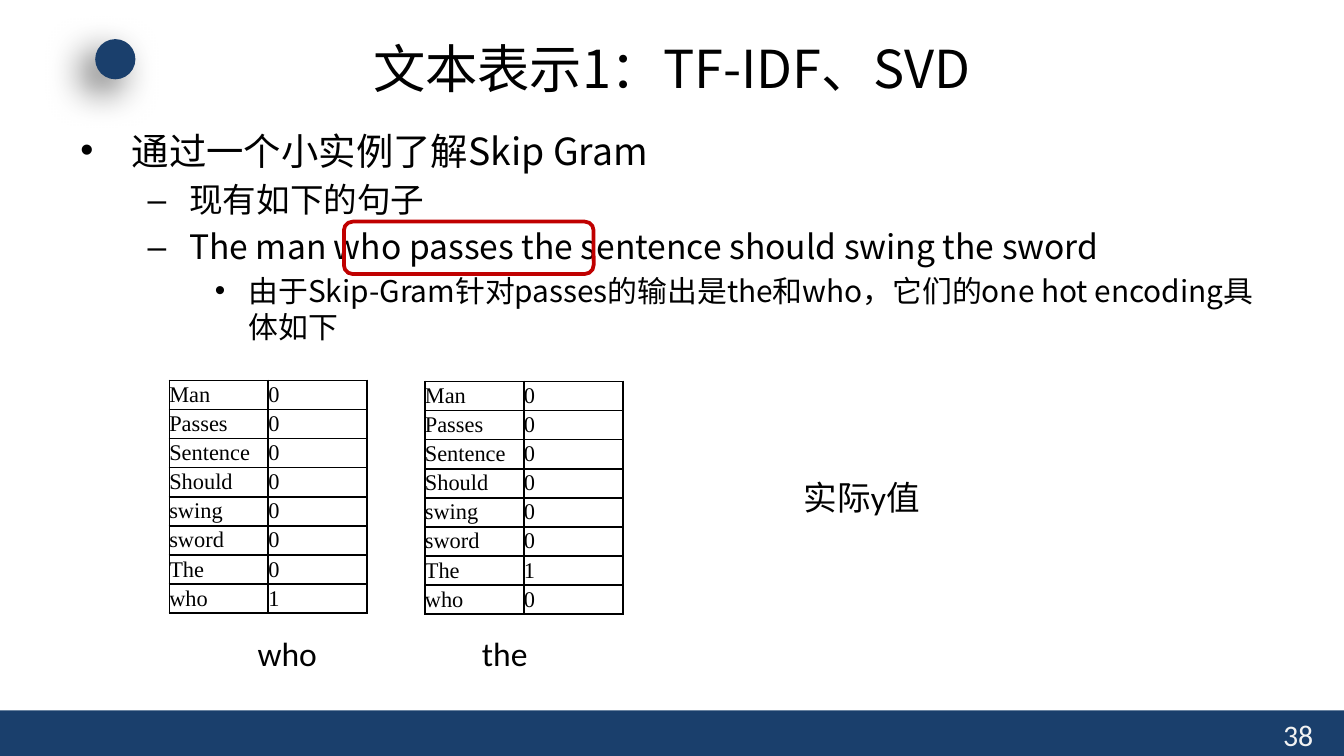
from lxml import etree
from pptx import Presentation
from pptx.dml.color import RGBColor
from pptx.enum.shapes import MSO_SHAPE
from pptx.enum.text import MSO_ANCHOR, PP_ALIGN
from pptx.oxml import parse_xml
from pptx.oxml.ns import nsdecls, qn
from pptx.util import Cm, Pt

NAVY = RGBColor(0x1A, 0x3F, 0x6C)
RED = RGBColor(0xC0, 0x00, 0x00)
BLACK = RGBColor(0x00, 0x00, 0x00)
PALE = RGBColor(0xF2, 0xF2, 0xF2)
HAN_FONT = "Noto Sans CJK SC"
LABEL_FONT = "Calibri"
TABLE_FONT = "Times New Roman"
RECTANGLE = MSO_SHAPE.RECTANGLE
OVAL = MSO_SHAPE.OVAL
ROUNDED = MSO_SHAPE.ROUNDED_RECTANGLE
MIDDLE = MSO_ANCHOR.MIDDLE
CENTER = PP_ALIGN.CENTER
JUSTIFY = PP_ALIGN.JUSTIFY

SLIDE_WIDTH, SLIDE_HEIGHT = 25.4, 14.29
VOCABULARY = ["Man", "Passes", "Sentence", "Should", "swing", "sword", "The", "who"]
OUTLINE = [
    (0, "通过一个小实例了解Skip Gram"),
    (1, "现有如下的句子"),
    (1, "The man who passes the sentence should swing the sword"),
    (2, "由于Skip-Gram针对passes的输出是the和who，它们的one hot encoding具体如下"),
]
LEVELS = [(20, "•", 0.97, 0.97), (18, "–", 2.06, 0.79), (16, "•", 3.18, 0.64)]


def format_paragraph(paragraph, size, font, color=BLACK):
    """Give every run of a paragraph its size, colour and fonts."""
    for run in paragraph.runs:
        run.font.size = Pt(size)
        run.font.name = font
        run.font.color.rgb = color
        east_asian = etree.SubElement(run._r.get_or_add_rPr(), qn("a:ea"))
        east_asian.set("typeface", HAN_FONT)


def add_text(slide, box, text, size, font=LABEL_FONT, color=BLACK):
    """Add a one-paragraph text box and return its text frame."""
    text_frame = slide.shapes.add_textbox(*map(Cm, box)).text_frame
    text_frame.word_wrap = True
    text_frame.text = text
    format_paragraph(text_frame.paragraphs[0], size, font, color)
    return text_frame


def add_plain_shape(slide, kind, box):
    """Add a navy shape without line or shadow."""
    shape = slide.shapes.add_shape(kind, *map(Cm, box))
    shape.shadow.inherit = False
    shape.fill.solid()
    shape.fill.fore_color.rgb = NAVY
    shape.line.fill.background()
    return shape


def add_footer(slide, box, number):
    """Add the bottom bar with the page number near its right end."""
    left, top, width, height = box
    add_plain_shape(slide, RECTANGLE, box)
    add_text(slide, (left + width - 1.4, top, 1.27, height - 0.1), number, 16, color=PALE)


def add_header(slide, box, title):
    """Add the shadowed dot and the centred title."""
    left, top, width, height = box
    dot = add_plain_shape(slide, OVAL, (left + 0.53, top + 0.16, 0.76, 0.76))
    effects = dot._element.spPr.find(qn("a:effectLst"))
    effects.append(parse_xml(
        f'<a:outerShdw {nsdecls("a")} blurRad="{Pt(20)}" dist="{Pt(10)}" dir="8100000" '
        'algn="tr" rotWithShape="0"><a:srgbClr val="000000"><a:alpha val="60000"/>'
        '</a:srgbClr></a:outerShdw>'))
    text_frame = add_text(slide, box, title, 28, HAN_FONT)
    text_frame.vertical_anchor = MIDDLE
    text_frame.paragraphs[0].alignment = CENTER


def add_outline(slide, box, items):
    """Add the bulleted outline and frame the words around the centre word."""
    left, top, width, height = box
    text_frame = slide.shapes.add_textbox(*map(Cm, box)).text_frame
    text_frame.word_wrap = True
    for index, (level, text) in enumerate(items):
        paragraph = text_frame.add_paragraph() if index else text_frame.paragraphs[0]
        size, bullet, margin, hanging = LEVELS[level]
        paragraph.text = text
        paragraph.level = level
        properties = paragraph._p.get_or_add_pPr()
        properties.set("marL", str(Cm(margin)))
        properties.set("indent", str(-Cm(hanging)))
        etree.SubElement(properties, qn("a:buFont")).set("typeface", "Arial")
        etree.SubElement(properties, qn("a:buChar")).set("char", bullet)
        paragraph.line_spacing = Pt(size * 1.2)
        paragraph.space_before = Pt(size * 0.2 if index else 0)
        format_paragraph(paragraph, size, HAN_FONT)
    frame = slide.shapes.add_shape(
        ROUNDED, Cm(left + 5.23), Cm(top + 1.9), Cm(4.72), Cm(0.99))
    frame.shadow.inherit = False
    frame.fill.background()
    frame.line.color.rgb = RED
    frame.line.width = Pt(2)


def format_cell(cell, text):
    """Fill in one table cell and draw its four borders."""
    cell.text = text
    cell.margin_left = cell.margin_right = cell.margin_top = cell.margin_bottom = 0
    cell.vertical_anchor = MIDDLE
    paragraph = cell.text_frame.paragraphs[0]
    paragraph.alignment = JUSTIFY
    format_paragraph(paragraph, 12, TABLE_FONT)
    properties = cell._tc.get_or_add_tcPr()
    for side in ("lnL", "lnR", "lnT", "lnB"):
        properties.append(parse_xml(
            f'<a:{side} {nsdecls("a")} w="{Pt(1)}"><a:solidFill>'
            f'<a:srgbClr val="{BLACK}"/></a:solidFill></a:{side}>'))
    cell.fill.background()


def add_one_hot_table(slide, box, hot_word):
    """Add the vocabulary table in which only the hot word has a one."""
    left, top, width, height = box
    table = slide.shapes.add_table(len(VOCABULARY), 2, *map(Cm, box)).table
    table.first_row = False
    table.horz_banding = False
    for column in table.columns:
        column.width = Cm(width / 2)
    for index, word in enumerate(VOCABULARY):
        table.rows[index].height = Cm(height / len(VOCABULARY))
        format_cell(table.cell(index, 0), word)
        format_cell(table.cell(index, 1), "1" if word == hot_word else "0")


def main():
    """Build and save the slide."""
    presentation = Presentation()
    presentation.slide_width = Cm(SLIDE_WIDTH)
    presentation.slide_height = Cm(SLIDE_HEIGHT)
    slide = presentation.slides.add_slide(presentation.slide_layouts[6])
    add_footer(slide, (0, 13.43, SLIDE_WIDTH, 0.86), "38")
    add_header(slide, (1.27, 0.58, 22.86, 1.4), "文本表示1：TF-IDF、SVD")
    add_outline(slide, (1.27, 2.29, 22.86, 10.95), OUTLINE)
    add_one_hot_table(slide, (3.2, 7.19, 3.74, 4.4), "who")
    add_one_hot_table(slide, (8.03, 7.21, 3.74, 4.4), "The")
    add_text(slide, (8.86, 11.84, 1.4, 1.02), "the", 18)
    add_text(slide, (4.62, 11.84, 1.65, 1.02), "who", 18)
    add_text(slide, (14.94, 8.89, 2.72, 1.02), "实际y值", 18)
    presentation.save("out.pptx")


if __name__ == "__main__":
    main()
